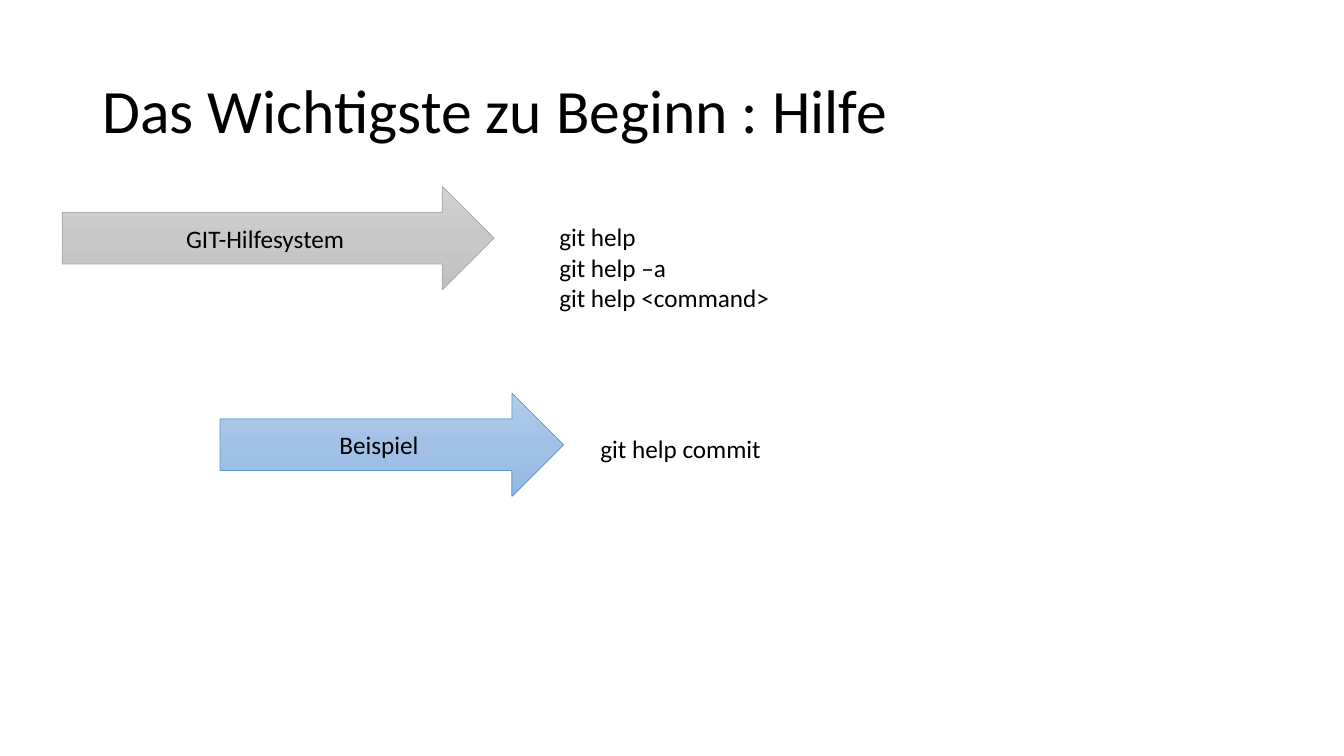
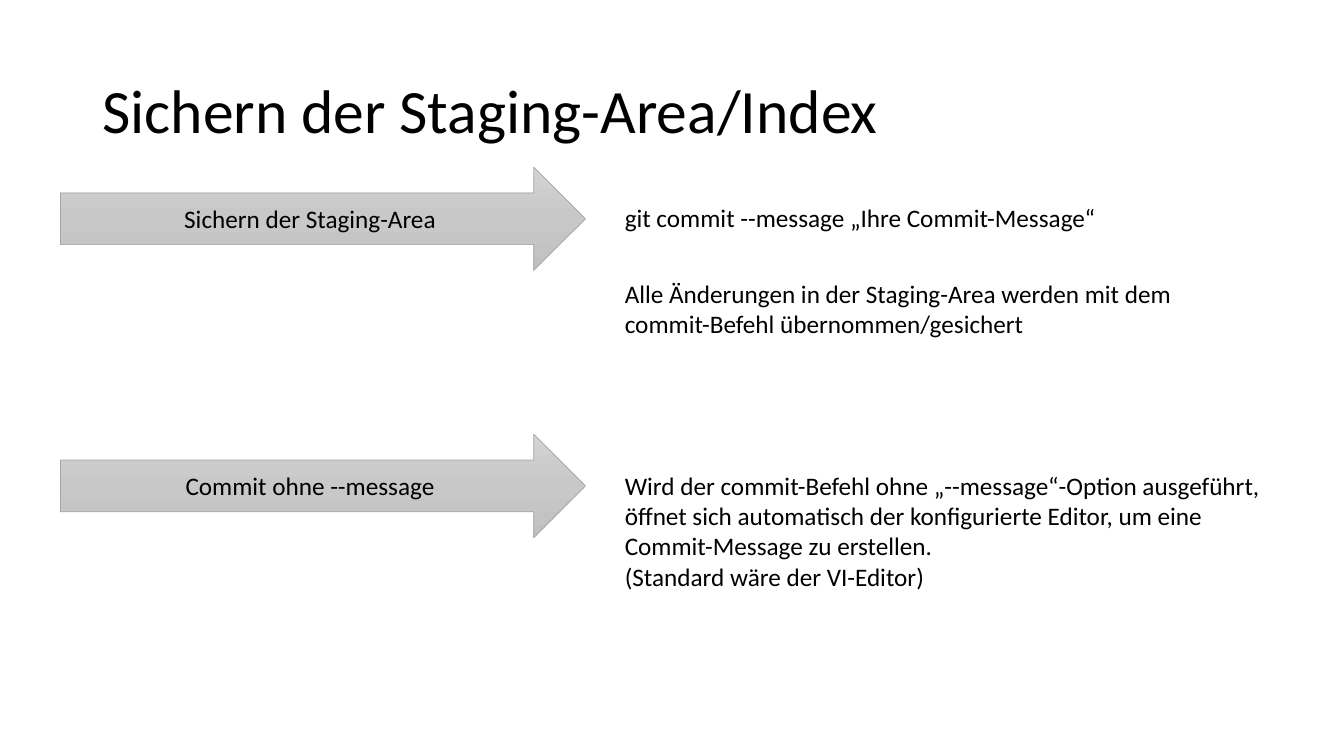
from copy import deepcopy
from dataclasses import dataclass

from pptx import Presentation
from pptx import util as u
from pptx.dml.color import RGBColor
from pptx.enum import shapes, text
from pptx.oxml.ns import qn

SLIDE_WIDTH = u.Inches(13.33)
SLIDE_HEIGHT = u.Inches(7.5)
COLUMNS = 160
ROWS = 90


@dataclass(frozen=True)
class ArrowStyle:
    gradient: tuple[str, str, str]
    outline: str


@dataclass(frozen=True)
class Theme:
    font: str = "Calibri"
    ink: str = "000000"
    title_size: int = 44
    body_size: int = 18
    outline_width: float = 0.5
    title_spacing: float = 0.9
    grey: ArrowStyle = ArrowStyle(("D2D2D2", "C8C8C8", "C0C0C0"), "A5A5A5")
    blue: ArrowStyle = ArrowStyle(("B1CBE9", "A3C1E5", "93B9E4"), "5B9BD5")


THEME = Theme()


@dataclass(frozen=True)
class Area:
    column: float
    row: float
    columns: float
    rows: float

    def lengths(self) -> tuple[int, int, int, int]:
        return (
            round(SLIDE_WIDTH * self.column / COLUMNS),
            round(SLIDE_HEIGHT * self.row / ROWS),
            round(SLIDE_WIDTH * self.columns / COLUMNS),
            round(SLIDE_HEIGHT * self.rows / ROWS),
        )


TITLE_AREA = Area(11, 4.8, 138, 17.4)
ARROW_ROWS = 12.3
LINE_ROWS = 3.6
INSET_ROWS = 1.2


@dataclass(frozen=True)
class Arrow:
    label: str
    column: float
    row: float
    columns: float
    style: ArrowStyle = THEME.grey


@dataclass(frozen=True)
class Note:
    column: float
    row: float
    columns: float
    paragraphs: tuple[tuple[str, ...], ...]


@dataclass(frozen=True)
class Page:
    title: str
    arrows: tuple[Arrow, ...]
    notes: tuple[Note, ...]


PAGES = (
    Page(
        "Das Wichtigste zu Beginn : Hilfe",
        (
            Arrow("GIT-Hilfesystem", 7.4, 22.2, 51.4),
            Arrow("Beispiel", 26.2, 46.8, 40.9, THEME.blue),
        ),
        (
            Note(65.4, 25.8, 27.7, (("git help",), ("git help –a",), ("git help <command>",))),
            Note(70.3, 51, 21.7, (("git help commit",),)),
        ),
    ),
    Page(
        "Sichern der Staging-Area/Index",
        (
            Arrow("Sichern der Staging-Area", 7.2, 19.9, 62.5),
            Arrow("Commit ohne --message", 7.2, 51.7, 62.5),
        ),
        (
            Note(73.2, 23.5, 58.8, (("git commit --message „Ihre Commit-Message“",),)),
            Note(73.2, 32.5, 68.3, ((
                "Alle Änderungen in der Staging-Area werden mit dem",
                "commit-Befehl übernommen/gesichert",
            ),)),
            Note(73.2, 55.4, 79, (
                (
                    "Wird der commit-Befehl ohne „--message“-Option ausgeführt,",
                    "öffnet sich automatisch der konfigurierte Editor, um eine",
                    "Commit-Message zu erstellen.",
                ),
                ("(Standard wäre der VI-Editor)",),
            )),
        ),
    ),
)


def style_paragraph(paragraph, size: float) -> None:
    paragraph.font.name = THEME.font
    paragraph.font.size = u.Pt(size)
    paragraph.font.color.rgb = RGBColor.from_string(THEME.ink)


def draw_title(slide, title: str) -> None:
    frame = slide.shapes.add_textbox(*TITLE_AREA.lengths()).text_frame
    frame.word_wrap = True
    frame.vertical_anchor = text.MSO_ANCHOR.MIDDLE
    paragraph = frame.paragraphs[0]
    paragraph.text = title
    paragraph.line_spacing = THEME.title_spacing
    style_paragraph(paragraph, THEME.title_size)


def fill_gradient(shape, colours: tuple[str, str, str]) -> None:
    shape.fill.gradient()
    shape.fill.gradient_angle = 270
    stop_list = shape.element.spPr.find(qn("a:gradFill")).find(qn("a:gsLst"))
    stop_list.insert(1, deepcopy(stop_list[0]))
    for index, (stop, colour) in enumerate(zip(shape.fill.gradient_stops, colours)):
        stop.position = index / (len(colours) - 1)
        stop.color.rgb = RGBColor.from_string(colour)


def draw_arrow(slide, arrow: Arrow) -> None:
    area = Area(arrow.column, arrow.row, arrow.columns, ARROW_ROWS)
    shape = slide.shapes.add_shape(shapes.MSO_SHAPE.RIGHT_ARROW, *area.lengths())
    shape.shadow.inherit = False
    fill_gradient(shape, arrow.style.gradient)
    shape.line.color.rgb = RGBColor.from_string(arrow.style.outline)
    shape.line.width = u.Pt(THEME.outline_width)
    frame = shape.text_frame
    frame.vertical_anchor = text.MSO_ANCHOR.MIDDLE
    paragraph = frame.paragraphs[0]
    paragraph.text = arrow.label
    paragraph.alignment = text.PP_ALIGN.CENTER
    style_paragraph(paragraph, THEME.body_size)


def draw_note(slide, note: Note) -> None:
    line_count = sum(len(lines) for lines in note.paragraphs)
    area = Area(note.column, note.row, note.columns, line_count * LINE_ROWS + INSET_ROWS)
    frame = slide.shapes.add_textbox(*area.lengths()).text_frame
    frame.word_wrap = False
    frame.auto_size = text.MSO_AUTO_SIZE.SHAPE_TO_FIT_TEXT
    for index, lines in enumerate(note.paragraphs):
        paragraph = frame.add_paragraph() if index else frame.paragraphs[0]
        for line_index, line in enumerate(lines):
            if line_index:
                paragraph.add_line_break()
            paragraph.add_run().text = line
        style_paragraph(paragraph, THEME.body_size)


def draw_page(presentation, page: Page) -> None:
    slide = presentation.slides.add_slide(presentation.slide_layouts[6])
    draw_title(slide, page.title)
    for arrow in page.arrows:
        draw_arrow(slide, arrow)
    for note in page.notes:
        draw_note(slide, note)


def main() -> None:
    presentation = Presentation()
    presentation.slide_width = SLIDE_WIDTH
    presentation.slide_height = SLIDE_HEIGHT
    for page in PAGES:
        draw_page(presentation, page)
    presentation.save("out.pptx")


if __name__ == "__main__":
    main()
